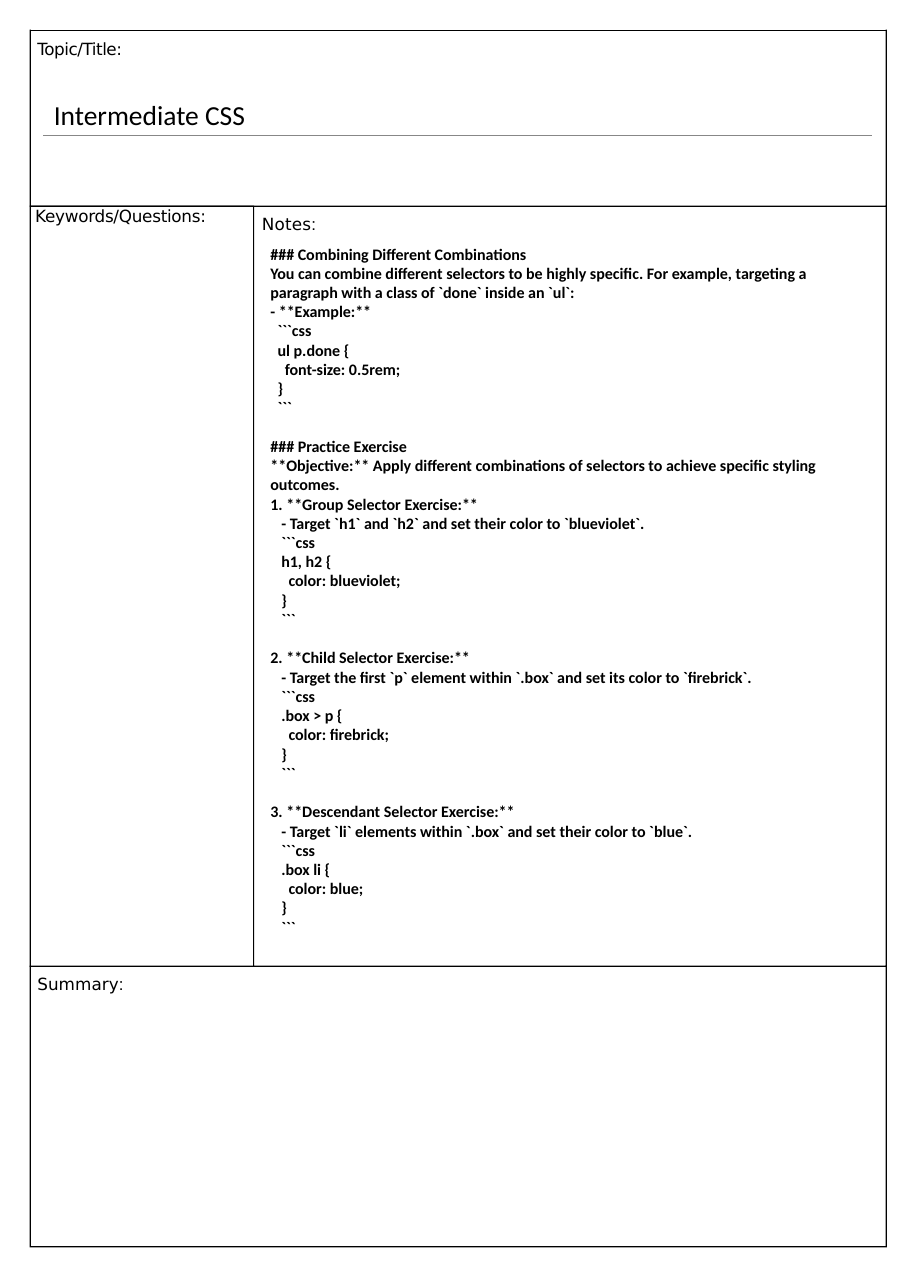
from pptx import Presentation
from pptx.dml.color import RGBColor
from pptx.enum import text
from pptx.util import Inches, Pt

BLACK = RGBColor(0x00, 0x00, 0x00)
GRAY = RGBColor(0x87, 0x87, 0x87)
LABEL_FONT, BODY_FONT = "DejaVu Sans", "Calibri"

LEFT, DIVIDER, RIGHT = 0.27, 2.3, 8.06
TOP, TITLE_END, NOTES_END, BOTTOM = 0.27, 1.87, 8.78, 11.34
RULE = 0.01

# left, top, right, color
HORIZONTAL_RULES = [
    (LEFT, NOTES_END, RIGHT, BLACK),
    (DIVIDER, TITLE_END, RIGHT, BLACK),
    (LEFT, TOP, RIGHT, BLACK),
    (0.39, 1.23, 7.93, GRAY),
]

# left, top, width, letter spacing in points, (words, font) runs
LABELS = [
    (0.33, 0.34, 0.85, -0.3, [("Topic/Title:", LABEL_FONT)]),
    (0.31, 1.86, 1.64, -0.2, [("Keywords/Questions:", LABEL_FONT)]),
    (2.37, 1.93, 0.52, 0.1, [("Notes", LABEL_FONT), (":", "Arial")]),
    (0.33, 8.84, 0.83, 0, [("Summary", LABEL_FONT), (":", "Arial")]),
]

TITLE = "Intermediate CSS"

# Each section is a list of (indent in characters, line)
NOTES = [
    [
        (0, "### Combining Different Combinations"),
        (0, "You can combine different selectors to be highly specific. For example, "
            "targeting a paragraph with a class of `done` inside an `ul`:"),
        (0, "- **Example:**"),
        (2, "```css"),
        (2, "ul p.done {"),
        (4, "font-size: 0.5rem;"),
        (2, "}"),
        (2, "```"),
    ],
    [
        (0, "### Practice Exercise"),
        (0, "**Objective:** Apply different combinations of selectors to achieve "
            "specific styling outcomes."),
    ],
]

# title, task, selector, color
EXERCISES = [
    ("Group", "Target `h1` and `h2` and set their color to `blueviolet`.",
     "h1, h2", "blueviolet"),
    ("Child", "Target the first `p` element within `.box` and set its color to `firebrick`.",
     ".box > p", "firebrick"),
    ("Descendant", "Target `li` elements within `.box` and set their color to `blue`.",
     ".box li", "blue"),
]

NOTE_SIZE = 10.5
NOTE_LINE = Pt(12.6)
CHARACTER_INDENT = Pt(2.37)


def exercise_lines(number, kind, task, selector, color):
    return [
        (0, f"{number}. **{kind} Selector Exercise:**"),
        (3, f"- {task}"),
        (3, "```css"),
        (3, f"{selector} {{"),
        (5, f"color: {color};"),
        (3, "}"),
        (3, "```"),
    ]


def add_text_frame(slide, left, top, width, height):
    box = slide.shapes.add_textbox(Inches(left), Inches(top), Inches(width), Inches(height))
    frame = box.text_frame
    frame.word_wrap = True
    frame.auto_size = text.MSO_AUTO_SIZE.SHAPE_TO_FIT_TEXT
    return frame


def add_run(paragraph, words, font, size, bold=False, spacing=0):
    run = paragraph.add_run()
    run.text = words
    run.font.name = font
    run.font.size = Pt(size)
    run.font.bold = bold
    run.font.color.rgb = BLACK
    if spacing:
        run.font._element.set("spc", str(round(spacing * 100)))


def add_outline(slide, corners, color=BLACK):
    start, *others = [(Inches(x), Inches(y)) for x, y in corners]
    builder = slide.shapes.build_freeform(*start)
    builder.add_line_segments(others)
    outline = builder.convert_to_shape()
    outline.shadow.inherit = False
    outline.fill.solid()
    outline.fill.fore_color.rgb = color
    outline.line.fill.background()


def add_rule(slide, left, top, right, color):
    bottom = top + RULE
    add_outline(slide, [(right, bottom), (left, bottom), (left, top), (right, top)], color)


def add_frame(slide, top, bottom, inner=()):
    """Draw the left, bottom and right borders; inner corners run from right to left."""
    floor = bottom - RULE
    add_outline(slide, [
        (RIGHT, top), (RIGHT - RULE, top), (RIGHT - RULE, floor), *inner,
        (LEFT + RULE, floor), (LEFT + RULE, top + RULE if inner else top),
        *([(DIVIDER, top + RULE), (DIVIDER, top)] if inner else []),
        (LEFT, top), (LEFT, bottom), (RIGHT, bottom),
    ])


def add_borders(slide):
    for rule in HORIZONTAL_RULES:
        add_rule(slide, *rule)
    divider = [
        (DIVIDER + RULE, NOTES_END), (DIVIDER + RULE, TITLE_END),
        (DIVIDER, TITLE_END), (DIVIDER, NOTES_END),
    ]
    add_frame(slide, TOP, TITLE_END + RULE)
    add_frame(slide, TITLE_END, NOTES_END + RULE, divider)
    add_frame(slide, NOTES_END, BOTTOM)


def add_label(slide, left, top, width, spacing, runs):
    frame = add_text_frame(slide, left, top, width, 0.21)
    frame.margin_left = frame.margin_top = Inches(0.01)
    frame.margin_right = frame.margin_bottom = 0
    paragraph = frame.paragraphs[0]
    paragraph.space_before = Pt(1)
    for words, font in runs:
        add_run(paragraph, words, font, 11, spacing=spacing)


def add_title(slide):
    frame = add_text_frame(slide, 0.39, 0.84, 6.42, 0.71)
    add_run(frame.paragraphs[0], TITLE, BODY_FONT, 18)


def add_notes(slide):
    numbered = [exercise_lines(n, *exercise) for n, exercise in enumerate(EXERCISES, 1)]
    # The first exercise follows the objective without a gap
    sections = [NOTES[0], NOTES[1] + numbered[0], *numbered[1:]]
    frame = add_text_frame(slide, 2.36, 2.17, 5.44, 6.64)
    paragraph = frame.paragraphs[0]
    for section_index, section in enumerate(sections):
        for line_index, (indent, line) in enumerate(section):
            if section_index or line_index:
                paragraph = frame.add_paragraph()
            if section_index and not line_index:
                paragraph.space_before = NOTE_LINE
            if indent:
                paragraph._p.get_or_add_pPr().set("marL", str(indent * CHARACTER_INDENT))
            add_run(paragraph, line, BODY_FONT, NOTE_SIZE, bold=True)


def main():
    deck = Presentation()
    deck.slide_width, deck.slide_height = Inches(8.28), Inches(11.71)
    slide = deck.slides.add_slide(deck.slide_layouts[6])
    add_borders(slide)
    for label in LABELS:
        add_label(slide, *label)
    add_title(slide)
    add_notes(slide)
    deck.save("out.pptx")


if __name__ == "__main__":
    main()
